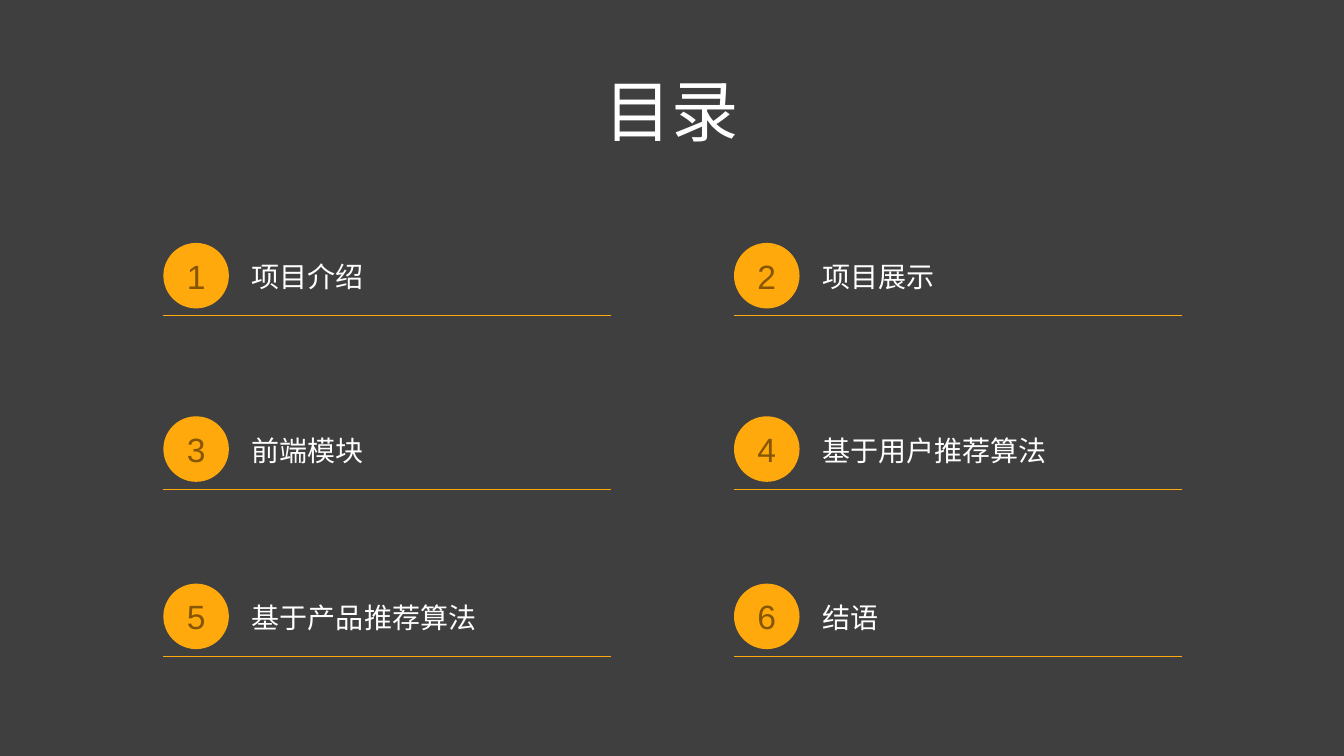
from lxml import etree
from pptx import Presentation
from pptx.dml.color import RGBColor
from pptx.enum import shapes, text
from pptx.oxml.ns import qn
from pptx.util import Inches, Pt

TITLE = "目录"
TOPICS = ["项目介绍", "项目展示", "前端模块", "基于用户推荐算法", "基于产品推荐算法", "结语"]

BACKGROUND, ORANGE, BROWN, WHITE = "3F3F3F", "FFA90D", "865600", "FFFFFF"
FONT = "Arial"

COLUMN_LEFTS = [1.62, 7.28]
ROW_TOPS = [2.36, 4.08, 5.74]
BADGE_SIZE, BADGE_DROP = 0.65, 0.05
TOPIC_INDENT, TOPIC_WIDTH, TOPIC_HEIGHT = 0.78, 3.66, 0.77
RULE_WIDTH = 4.44


def paint(color_format, color):
    color_format.rgb = RGBColor.from_string(color)


def write(shape, wording, size, color, align=text.PP_ALIGN.LEFT):
    frame = shape.text_frame
    frame.word_wrap = True
    frame.vertical_anchor = text.MSO_ANCHOR.MIDDLE
    paragraph = frame.paragraphs[0]
    paragraph.alignment = align
    run = paragraph.add_run()
    run.text = wording
    run.font.size = Pt(size)
    run.font.name = FONT
    paint(run.font.color, color)


def add_label(slide, box, wording, **style):
    write(slide.shapes.add_textbox(*map(Inches, box)), wording, **style)


def add_badge(slide, left, top, number):
    badge = slide.shapes.add_shape(
        shapes.MSO_SHAPE.OVAL, *map(Inches, (left, top, BADGE_SIZE, BADGE_SIZE)))
    badge.shadow.inherit = False
    badge.fill.solid()
    paint(badge.fill.fore_color, ORANGE)
    badge.line.fill.background()
    write(badge, str(number), size=24, color=BROWN, align=text.PP_ALIGN.CENTER)


def add_rule(slide, left, y):
    rule = slide.shapes.add_connector(
        shapes.MSO_CONNECTOR.STRAIGHT, *map(Inches, (left, y, left + RULE_WIDTH, y)))
    paint(rule.line.color, ORANGE)
    rule.line.width = Pt(0.5)
    etree.SubElement(rule._element.spPr, qn("a:effectLst"))


def main():
    deck = Presentation()
    deck.slide_width, deck.slide_height = Inches(13.33), Inches(7.5)
    slide = deck.slides.add_slide(deck.slide_layouts[6])
    slide.background.fill.solid()
    paint(slide.background.fill.fore_color, BACKGROUND)

    add_label(slide, (5.1, 0.44, 3.13, 1.29), TITLE,
              size=48, color=WHITE, align=text.PP_ALIGN.CENTER)

    for index, topic in enumerate(TOPICS):
        row, column = divmod(index, len(COLUMN_LEFTS))
        left, top = COLUMN_LEFTS[column], ROW_TOPS[row]
        add_badge(slide, left, top + BADGE_DROP, index + 1)
        add_label(slide, (left + TOPIC_INDENT, top, TOPIC_WIDTH, TOPIC_HEIGHT), topic,
                  size=20, color=WHITE)
        add_rule(slide, left, top + TOPIC_HEIGHT)

    deck.save("out.pptx")


if __name__ == "__main__":
    main()
